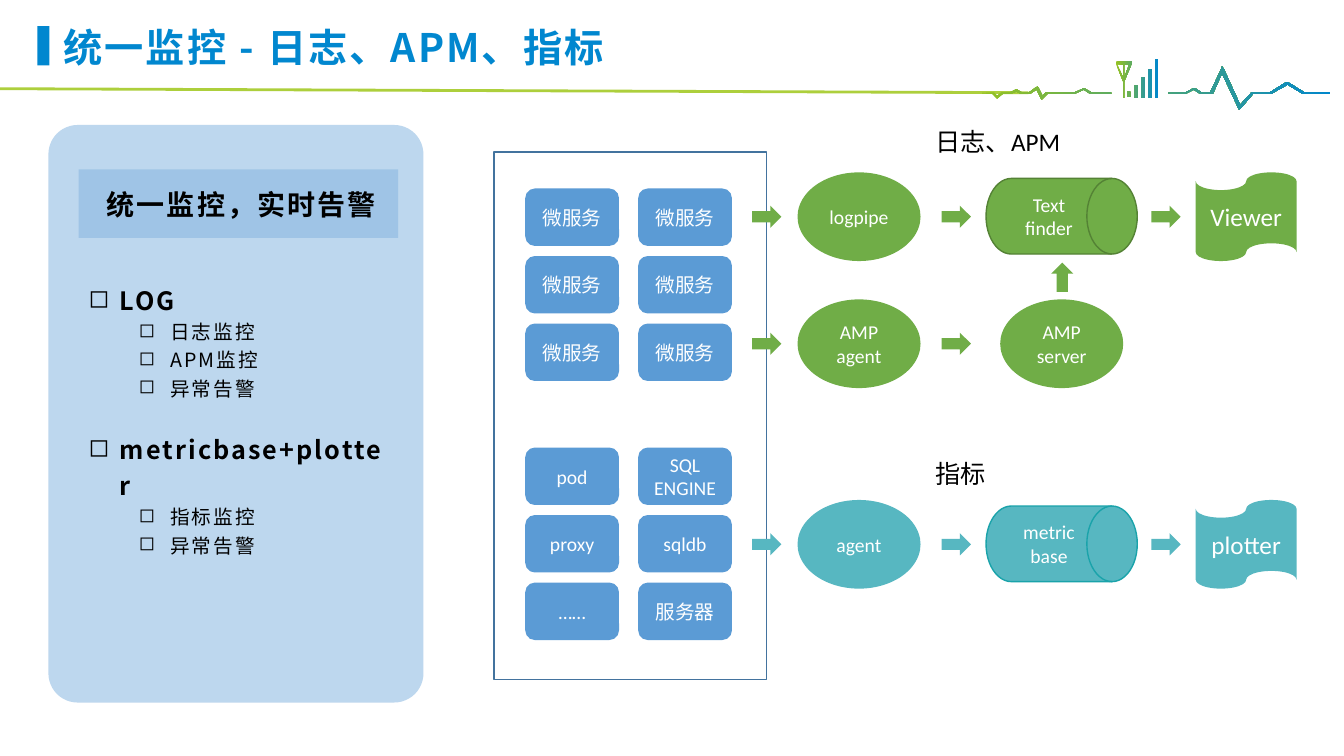
from pptx import Presentation
from pptx.dml.color import RGBColor
from pptx.enum.shapes import MSO_CONNECTOR as Link, MSO_SHAPE as Kind
from pptx.enum.text import MSO_ANCHOR as Anchor, PP_ALIGN as Align
from pptx.oxml.ns import qn
from pptx.util import Inches, Pt
from lxml.etree import SubElement

BLACK = RGBColor(0x00, 0x00, 0x00)
WHITE = RGBColor(0xFF, 0xFF, 0xFF)
TITLE = RGBColor(0x01, 0x87, 0xCF)
LIME = RGBColor(0xAD, 0xCF, 0x3C)
LEAF = RGBColor(0x94, 0xC1, 0x23)
SEA = RGBColor(0x00, 0x87, 0xCF)
PALE = RGBColor(0xBD, 0xD7, 0xEE)
BLUE = RGBColor(0x5B, 0x9B, 0xD5)
NAVY = RGBColor(0x43, 0x73, 0x9E)
GREEN = RGBColor(0x70, 0xAD, 0x47)
MOSS = RGBColor(0x54, 0x82, 0x35)
TEAL = RGBColor(0x57, 0xB7, 0xC1)
DEEP = RGBColor(0x1A, 0xA3, 0xAA)
HAN = "Noto Sans CJK SC"
LATIN = "Calibri"

PULSE_RIGHT = [
    (12.94, .92), (12.78, .82), (12.75, .82), (12.59, .92), (12.41, .92), (12.3, 1.04),
    (12.14, .69), (12.12, .66), (12.11, .69), (12, .92), (11.92, .92), (11.86, .88),
    (11.83, .88), (11.75, .92), (11.59, .92), (11.59, .93), (11.76, .93), (11.84, .89),
    (11.9, .93), (12.03, .93), (12.12, .73), (12.28, 1.07), (12.29, 1.09), (12.31, 1.07),
    (12.43, .93), (12.61, .93), (12.77, .84), (12.92, .93), (13.19, .93), (13.19, .92)]
PULSE_LEFT = [
    (10.76, .88), (10.74, .88), (10.65, .92), (10.37, .92), (10.34, .95), (10.3, .87),
    (10.29, .86), (10.27, .87), (10.2, .92), (10.14, .92), (10.09, .89), (10.07, .89),
    (10.01, .92), (9.93, .92), (9.89, .95), (9.86, .92), (9.74, .92), (9.74, .93),
    (9.84, .93), (9.88, .97), (9.89, .98), (9.9, .97), (9.95, .93), (10.03, .93),
    (10.08, .91), (10.12, .93), (10.22, .93), (10.28, .89), (10.32, .97), (10.33, .99),
    (10.35, .97), (10.39, .93), (10.66, .93), (10.75, .89), (10.81, .93), (11.02, .93),
    (11.02, .92), (10.83, .92)]
MAST = [
    [(11.15, .64), (11.15, .77), (11.2, .64)],
    [(11.08, .64), (11.14, .77), (11.14, .64)],
    [(11.07, .61), (11.22, .61), (11.22, .64), (11.15, .81), (11.15, .97),
     (11.14, .97), (11.14, .81), (11.07, .64)]]


class Board:
    def __init__(self, slide):
        self.shapes = slide.shapes

    def paint(self, shape, fill, line=None):
        shape.shadow.inherit = False
        if fill is None:
            shape.fill.background()
        else:
            shape.fill.solid()
            shape.fill.fore_color.rgb = fill
        if line is None:
            shape.line.fill.background()
        else:
            shape.line.color.rgb = line
            shape.line.width = Pt(1)

    def add_run(self, para, text, size, color=BLACK, font=LATIN, bold=False):
        run = para.add_run()
        run.text = text
        run.font.size = Pt(size)
        run.font.bold = bold
        run.font.name = font
        run.font.color.rgb = color
        if font == HAN:
            props = run._r.get_or_add_rPr()
            props.set("spc", "150")
            SubElement(props, qn("a:ea")).set("typeface", HAN)

    def shape(self, kind, x, y, w, h, fill, line=None, text="", size=14):
        item = self.shapes.add_shape(kind, Inches(x), Inches(y), Inches(w), Inches(h))
        self.paint(item, fill, line)
        if text:
            frame = item.text_frame
            frame.vertical_anchor = Anchor.MIDDLE
            for i, part in enumerate(text.split("\n")):
                para = frame.add_paragraph() if i else frame.paragraphs[0]
                para.alignment = Align.CENTER
                self.add_run(para, part, size, WHITE)
        return item

    def text(self, x, y, w, h):
        box = self.shapes.add_textbox(Inches(x), Inches(y), Inches(w), Inches(h))
        box.text_frame.word_wrap = True
        return box.text_frame

    def indent(self, para, left, hang=0.0, mark=None):
        props = para._p.get_or_add_pPr()
        props.set("marL", str(Inches(left)))
        props.set("indent", str(-Inches(hang)))
        if mark:
            SubElement(props, qn("a:buChar")).set("char", mark)

    def rule(self, x1, y1, x2, y2, color, width):
        line = self.shapes.add_connector(
            Link.STRAIGHT, Inches(x1), Inches(y1), Inches(x2), Inches(y2))
        line.line.color.rgb = color
        line.line.width = Pt(width)
        SubElement(line._element.spPr, qn("a:effectLst"))

    def outline(self, loops):
        """Draw closed loops as one shape with a green to blue fade."""
        loops = [[(Inches(x), Inches(y)) for x, y in loop] for loop in loops]
        pen = self.shapes.build_freeform(*loops[0][0], scale=1.0)
        for i, loop in enumerate(loops):
            if i:
                pen.move_to(*loop[0])
            pen.add_line_segments(loop[1:], close=True)
        item = pen.convert_to_shape()
        self.paint(item, LEAF)
        item.fill.gradient()
        item.fill.gradient_angle = 0
        for stop, color in zip(item.fill.gradient_stops, (LEAF, SEA)):
            stop.color.rgb = color

    def arrow(self, x, mid, fill):
        return self.shape(Kind.RIGHT_ARROW, x, mid - .11, .29, .22, fill)

    def oval(self, x, mid, fill, text):
        self.shape(Kind.OVAL, x, mid - .44, 1.22, .88, fill, text=text)

    def drum(self, mid, fill, line, text):
        self.shape(Kind.FLOWCHART_DIRECT_ACCESS_STORAGE, 9.78, mid - .38, 1.5, .75,
                   fill, line, text)

    def tape(self, mid, fill, text):
        self.shape(Kind.FLOWCHART_PUNCHED_TAPE, 11.86, mid - .44, 1, .88,
                   fill, text=text, size=18)

    def grid(self, top, rows):
        for r, row in enumerate(rows):
            for c, text in enumerate(row):
                self.shape(Kind.ROUNDED_RECTANGLE, 5.21 + 1.12 * c, top + .67 * r,
                           .93, .57, BLUE, text=text)


def header(board):
    board.rule(0, .88, 10.2, .92, LIME, 2)
    board.outline([PULSE_RIGHT, PULSE_LEFT])
    bars = []
    for i, (top, base) in enumerate([(.91, .96), (.85, .97), (.77, .97), (.69, .97), (.59, .97)]):
        x = 11.18 + .07 * i
        bars.append([(x, top), (x + .03, top), (x + .03, base), (x, base)])
    board.outline(bars + MAST)
    board.shape(Kind.RECTANGLE, .37, .26, .12, .39, TITLE)
    frame = board.text(.56, .22, 8.62, .54)
    frame.vertical_anchor = Anchor.MIDDLE
    frame.margin_left = frame.margin_right = Inches(.07)
    frame.margin_top = frame.margin_bottom = Inches(.04)
    para = frame.paragraphs[0]
    para.line_spacing = .9
    board.add_run(para, "统一监控 - 日志、APM、指标", 28, TITLE, HAN, True)


def panel(board):
    card = board.shape(Kind.ROUNDED_RECTANGLE, .48, 1.24, 3.72, 5.73, PALE)
    card.adjustments[0] = .078
    frame = board.text(.78, 2.72, 3.17, 2.88)
    groups = [("LOG", ["日志监控", "APM监控", "异常告警"]),
              ("metricbase+plotter", ["指标监控", "异常告警"])]
    lines = [(text, i == 0, g > 0 and i == 0)
             for g, (head, subs) in enumerate(groups)
             for i, text in enumerate([head] + subs)]
    for i, (text, head, gap) in enumerate(lines):
        para = frame.add_paragraph() if i else frame.paragraphs[0]
        para.line_spacing = 1.2
        if gap:
            para.space_before = Pt(20)
        board.indent(para, .31 if head else .81, .31, "◻")
        board.add_run(para, text, 18 if head else 14, font=HAN, bold=head)
    band = board.shape(Kind.RECTANGLE, .78, 1.68, 3.17, .68, BLUE)
    color = band._element.spPr.find(qn("a:solidFill"))[0]
    SubElement(color, qn("a:alpha")).set("val", "30000")
    para = board.text(.46, 1.74, 3.81, .5).paragraphs[0]
    para.line_spacing = 1.2
    board.indent(para, .5)
    board.add_run(para, "统一监控，实时告警", 20, font=HAN, bold=True)


def flow(board):
    board.shape(Kind.RECTANGLE, 4.9, 1.51, 2.7, 5.23, None, NAVY)
    board.grid(1.87, [["微服务"] * 2] * 3)
    board.grid(4.44, [["pod", "SQL\nENGINE"], ["proxy", "sqldb"], ["……", "服务器"]])
    logs, trace, stats = 2.15, 3.41, 5.4
    for mid, fill, line, feed, store, view in [
            (logs, GREEN, MOSS, "logpipe", "Text finder", "Viewer"),
            (stats, TEAL, DEEP, "agent", "metricbase", "plotter")]:
        board.oval(7.91, mid, fill, feed)
        board.drum(mid, fill, line, store)
        board.tape(mid, fill, view)
        for x in (7.46, 9.34, 11.42):
            board.arrow(x, mid, fill)
    board.oval(7.91, trace, GREEN, "AMP agent")
    board.oval(9.92, trace, GREEN, "AMP server")
    for x in (7.46, 9.34):
        board.arrow(x, trace, GREEN)
    board.arrow(10.39, 2.75, GREEN).rotation = 270
    for text, y, w in [("日志、APM", 1.2, 1.44), ("指标", 4.5, .7)]:
        board.add_run(board.text(9.18, y, w, .4).paragraphs[0], text, 18)


def main():
    deck = Presentation()
    deck.slide_width, deck.slide_height = Inches(13.33), Inches(7.5)
    board = Board(deck.slides.add_slide(deck.slide_layouts[6]))
    header(board)
    panel(board)
    flow(board)
    deck.save("out.pptx")


if __name__ == "__main__":
    main()
